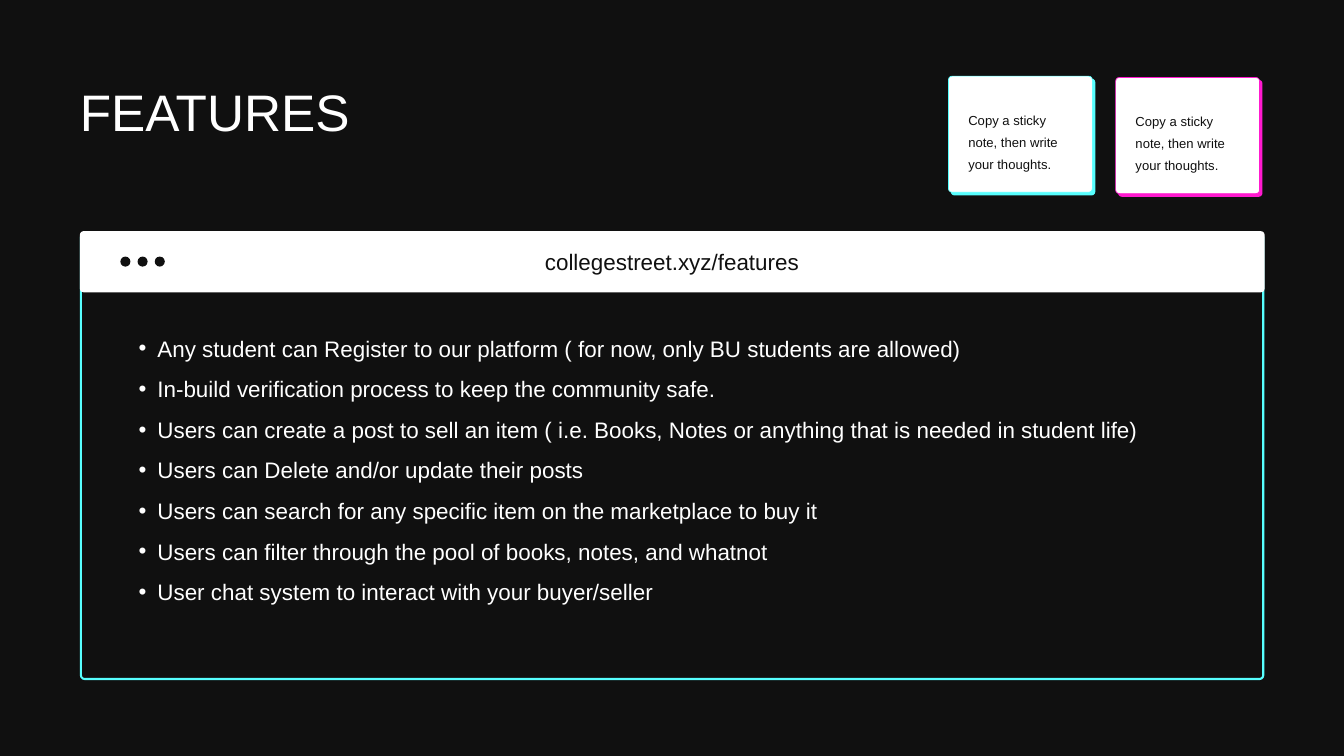
"""Build the features slide: a browser window with a bullet list and two sticky notes."""
from dataclasses import dataclass

from lxml import etree
from pptx import Presentation
from pptx.dml.color import RGBColor
from pptx.enum.shapes import MSO_SHAPE
from pptx.enum.text import PP_ALIGN
from pptx.oxml.ns import qn
from pptx.shapes.autoshape import Shape
from pptx.slide import Slide
from pptx.util import Cm, Pt

ROUNDED = MSO_SHAPE.ROUNDED_RECTANGLE
OVAL = MSO_SHAPE.OVAL
LEFT = PP_ALIGN.LEFT
CENTER = PP_ALIGN.CENTER

FONT = "Arial"
DARK = "101010"
WHITE = "FFFFFF"
CYAN = "57FFFF"
PINK = "FF19CF"
CORNER = 0.14

NOTE_TEXT = "Copy a sticky note, then write your thoughts."
FEATURES = [
    "Any student can Register to our platform ( for now, only BU students are allowed)",
    "In-build verification process to keep the community safe.",
    "Users can create a post to sell an item ( i.e. Books, Notes or anything that is needed in student life)",
    "Users can Delete and/or update their posts",
    "Users can search for any specific item on the marketplace to buy it",
    "Users can filter through the pool of books, notes, and whatnot",
    "User chat system to interact with your buyer/seller",
]


@dataclass(frozen=True)
class Area:
    """A rectangle on the slide, in centimetres."""

    left: float
    top: float
    width: float
    height: float

    def lengths(self) -> tuple[Cm, Cm, Cm, Cm]:
        """Return the rectangle as slide lengths."""
        return Cm(self.left), Cm(self.top), Cm(self.width), Cm(self.height)


@dataclass(frozen=True)
class TextStyle:
    """Size, colour, spacing and alignment of a text."""

    size: float
    color: str
    spacing: float
    align: PP_ALIGN = LEFT
    bullet: bool = False


@dataclass(frozen=True)
class StickyNote:
    """A white note with a coloured edge."""

    left: float
    top: float
    color: str


NOTES = [StickyNote(42.17, 2.93, PINK), StickyNote(35.85, 2.88, CYAN)]


def rgb(color: str) -> RGBColor:
    """Turn a hex string into a colour."""
    return RGBColor.from_string(color)


def add_panel(page: Slide, kind: MSO_SHAPE, area: Area, fill: str | None,
              line: str | None = None, weight: float = 1) -> Shape:
    """Draw a preset shape with an optional fill and outline."""
    panel = page.shapes.add_shape(kind, *area.lengths())
    panel.shadow.inherit = False
    if kind == ROUNDED:
        panel.adjustments[0] = CORNER / min(area.width, area.height)
    if fill:
        panel.fill.solid()
        panel.fill.fore_color.rgb = rgb(fill)
    else:
        panel.fill.background()
    if line:
        panel.line.color.rgb = rgb(line)
        panel.line.width = Pt(weight)
    else:
        panel.line.fill.background()
    return panel


def add_text(page: Slide, area: Area, lines: list[str], style: TextStyle) -> Shape:
    """Write one paragraph per line in a box without margins."""
    box = page.shapes.add_textbox(*area.lengths())
    frame = box.text_frame
    frame.word_wrap = True
    frame.margin_left = frame.margin_right = frame.margin_top = frame.margin_bottom = 0
    frame.text = "\n".join(lines)
    for para in frame.paragraphs:
        para.alignment = style.align
        para.line_spacing = style.spacing
        if style.bullet:
            add_bullet(para._p.get_or_add_pPr(), style.color)
        for span in para.runs:
            span.font.name = FONT
            span.font.size = Pt(style.size)
            span.font.color.rgb = rgb(style.color)
    return box


def add_bullet(properties: etree._Element, color: str) -> None:
    """Give paragraph properties a hanging bullet."""
    properties.set("lvl", "1")
    properties.set("marL", str(Cm(1.45)))
    properties.set("indent", str(Cm(-0.71)))
    bullet_color = etree.SubElement(properties, qn("a:buClr"))
    etree.SubElement(bullet_color, qn("a:srgbClr"), val=color)
    etree.SubElement(properties, qn("a:buFont"), typeface=FONT)
    etree.SubElement(properties, qn("a:buChar"), char="•")


def add_note(page: Slide, note: StickyNote) -> None:
    """Draw a sticky note over its coloured edge and group the parts."""
    edge = Area(note.left + 0.09, note.top + 0.09, 5.46, 4.42)
    sheet = Area(note.left, note.top, 5.44, 4.39)
    words = Area(note.left + 0.75, note.top + 1.13, 4.04, 2.08)
    page.shapes.add_group_shape([
        add_panel(page, ROUNDED, edge, note.color),
        add_panel(page, ROUNDED, sheet, WHITE, note.color, 0.75),
        add_text(page, words, [NOTE_TEXT], TextStyle(14, DARK, 1.4)),
    ])


def add_window_bar(page: Slide) -> None:
    """Draw the window's address bar with its three dots."""
    add_panel(page, ROUNDED, Area(3.02, 8.74, 44.78, 2.31), WHITE)
    add_text(page, Area(11.07, 9.27, 28.65, 1.12), ["collegestreet.xyz/features"],
             TextStyle(24, DARK, 1.1, CENTER))
    for index in range(3):
        add_panel(page, OVAL, Area(4.55 + 0.65 * index, 9.7, 0.38, 0.38), DARK)


def main() -> None:
    """Build and save the deck."""
    deck = Presentation()
    deck.slide_width, deck.slide_height = Cm(50.8), Cm(28.58)
    page = deck.slides.add_slide(deck.slide_layouts[6])
    page.background.fill.solid()
    page.background.fill.fore_color.rgb = rgb(DARK)

    add_panel(page, ROUNDED, Area(3.06, 8.83, 44.69, 16.84), None, CYAN, 2.25)
    for note in NOTES:
        add_note(page, note)
    add_window_bar(page)
    add_text(page, Area(4.5, 12.14, 42.24, 9.04), FEATURES,
             TextStyle(24, WHITE, 1.51, bullet=True))
    add_text(page, Area(3.02, 2.79, 22.81, 2.34), ["FEATURES"], TextStyle(55, WHITE, 1.1))
    deck.save("out.pptx")


if __name__ == "__main__":
    main()
